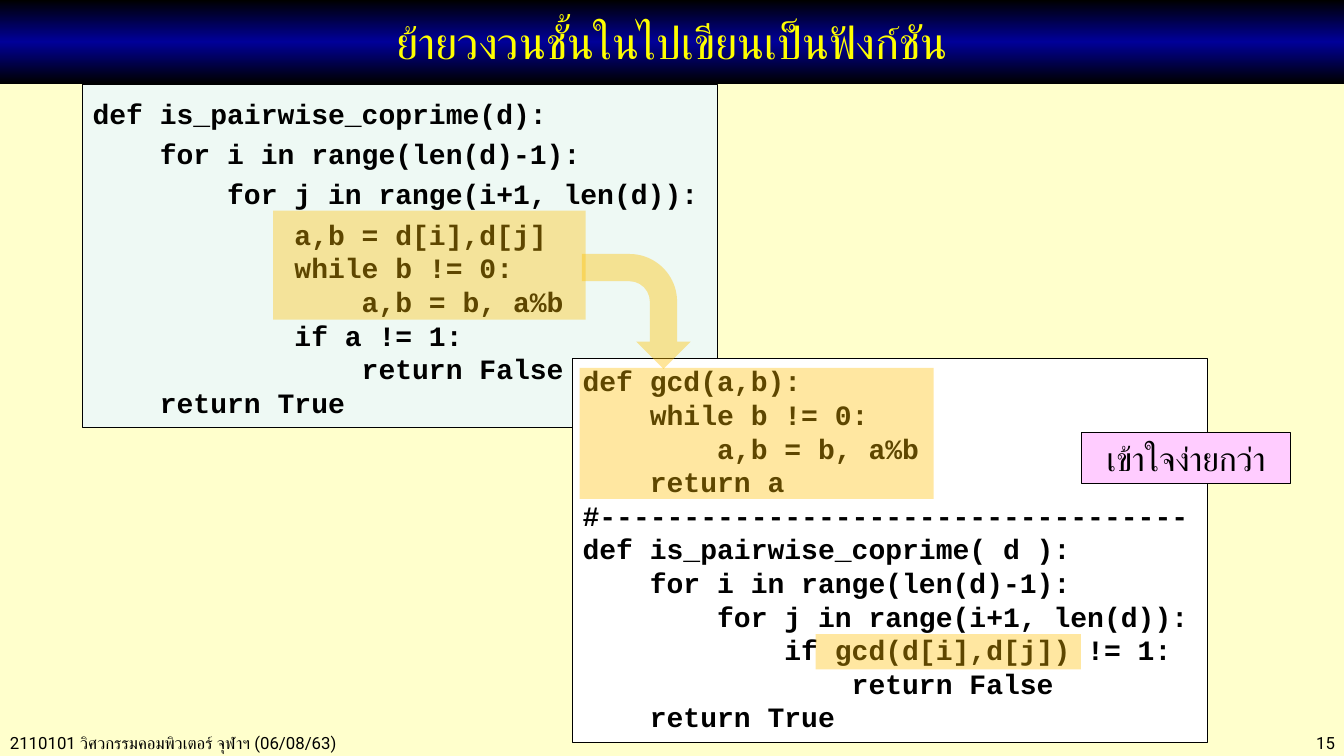
import pptx
import pptx.util
import pptx.oxml
import pptx.oxml.ns
import pptx.dml.color
import pptx.enum.shapes
import pptx.enum.text

Inches, Pt = pptx.util.Inches, pptx.util.Pt
Shape = pptx.enum.shapes.MSO_SHAPE
Align = pptx.enum.text.PP_ALIGN
Anchor = pptx.enum.text.MSO_ANCHOR

# Content
TITLE = "ย้ายวงวนชั้นในไปเขียนเป็นฟังก์ชัน"
NOTE = "เข้าใจง่ายกว่า"
FOOTER = "2110101 วิศวกรรมคอมพิวเตอร์ จุฬาฯ (06/08/63)"
PAGE = "15"
NESTED = """\
def is_pairwise_coprime(d):
    for i in range(len(d)-1):
        for j in range(i+1, len(d)):
            a,b = d[i],d[j]
            while b != 0:
                a,b = b, a%b
            if a != 1:
                return False
    return True""".split("\n")
SPLIT = """\
def gcd(a,b):
    while b != 0:
        a,b = b, a%b
    return a
#-----------------------------------
def is_pairwise_coprime( d ):
    for i in range(len(d)-1):
        for j in range(i+1, len(d)):
            if gcd(d[i],d[j]) != 1:
                return False
    return True""".split("\n")
LOOSE = 4  # opening lines of the nested code with wider spacing

COLORS = {
    "page": "FFFFCC", "ink": "000000", "title": "FFFF00", "band": "000099",
    "mint": "EEF9F4", "white": "FFFFFF", "pink": "FFCCFF", "mark": "FFC000",
}
MONO, SANS = "Courier New", "Roboto"

deck = pptx.Presentation()
deck.slide_width, deck.slide_height = Inches(13.33), Inches(7.5)
slide = deck.slides.add_slide(deck.slide_layouts[6])


def color(name):
    return pptx.dml.color.RGBColor.from_string(COLORS[name])


def add_box(box, fill, kind=Shape.RECTANGLE, line=True):
    shape = slide.shapes.add_shape(kind, *map(Inches, box))
    shape.shadow.inherit = False
    shape.fill.solid()
    shape.fill.fore_color.rgb = color(fill)
    if line:
        shape.line.color.rgb = color("ink")
        shape.line.width = Pt(0.75)
    else:
        shape.line.fill.background()
    return shape


def write(shape, lines, size, face, ink="ink", align=Align.LEFT,
          anchor=Anchor.TOP, bold=False, wrap=True):
    frame = shape.text_frame
    frame.word_wrap = wrap
    frame.vertical_anchor = anchor
    for i, line in enumerate(lines):
        para = frame.paragraphs[0] if i == 0 else frame.add_paragraph()
        para.text = line
        para.alignment = align
        para.font.size, para.font.name = Pt(size), face
        para.font.bold = bold
        para.font.color.rgb = color(ink)
    return frame


def add_mark(box, alpha=37, kind=Shape.RECTANGLE):
    shape = add_box(box, "mark", kind, line=False)
    tint = shape.fill._xPr.find(".//" + pptx.oxml.ns.qn("a:srgbClr"))
    node = pptx.oxml.parse_xml(
        f'<a:alpha {pptx.oxml.ns.nsdecls("a")} val="{alpha * 1000}"/>')
    tint.append(node)
    return shape


# Background and footer
slide.background.fill.solid()
slide.background.fill.fore_color.rgb = color("page")
for left, width, text, align in (
        (0, 5.2, FOOTER, Align.LEFT), (11.5, 1.84, PAGE, Align.RIGHT)):
    foot = slide.shapes.add_textbox(*map(Inches, (left, 7.22, width, 0.3)))
    write(foot, [text], 12, SANS, align=align)

# Code panels
nested = add_box((0.82, 0.84, 6.3, 3.4), "mint")
frame = write(nested, NESTED, 20, MONO, bold=True)
for para in frame.paragraphs[:LOOSE]:
    para.line_spacing = 1.2
split = add_box((5.68, 3.56, 6.3, 3.81), "white")
write(split, SPLIT, 20, MONO, bold=True)
add_mark((8.09, 6.29, 2.63, 0.35))

# Title band: dark edges, blue middle
band = add_box((0, 0, 13.33, 0.83), "band", line=False)
band.fill.gradient()
band.fill.gradient_angle = 90
stops = band.fill._xPr.find(".//" + pptx.oxml.ns.qn("a:gsLst"))
for stop in list(stops):
    stops.remove(stop)
for place, name in ((0, "ink"), (50, "band"), (100, "ink")):
    stops.append(pptx.oxml.parse_xml(
        f'<a:gs {pptx.oxml.ns.nsdecls("a")} pos="{place * 1000}">'
        f'<a:srgbClr val="{COLORS[name]}"/></a:gs>'))
write(band, [TITLE], 32, SANS, "title", Align.CENTER, Anchor.MIDDLE)

# Remark
note = add_box((10.73, 4.29, 2.07, 0.51), "pink")
write(note, [NOTE], 24, MONO, align=Align.CENTER, wrap=False)

# Inner loop moving into its own function
add_mark((2.71, 2.09, 3.1, 1.08))
add_mark((5.75, 3.65, 3.51, 1.3))
arrow = add_mark((5.74, 2.55, 1.14, 1.08), 40, Shape.BENT_ARROW)
arrow.rotation = 90

deck.save("out.pptx")
